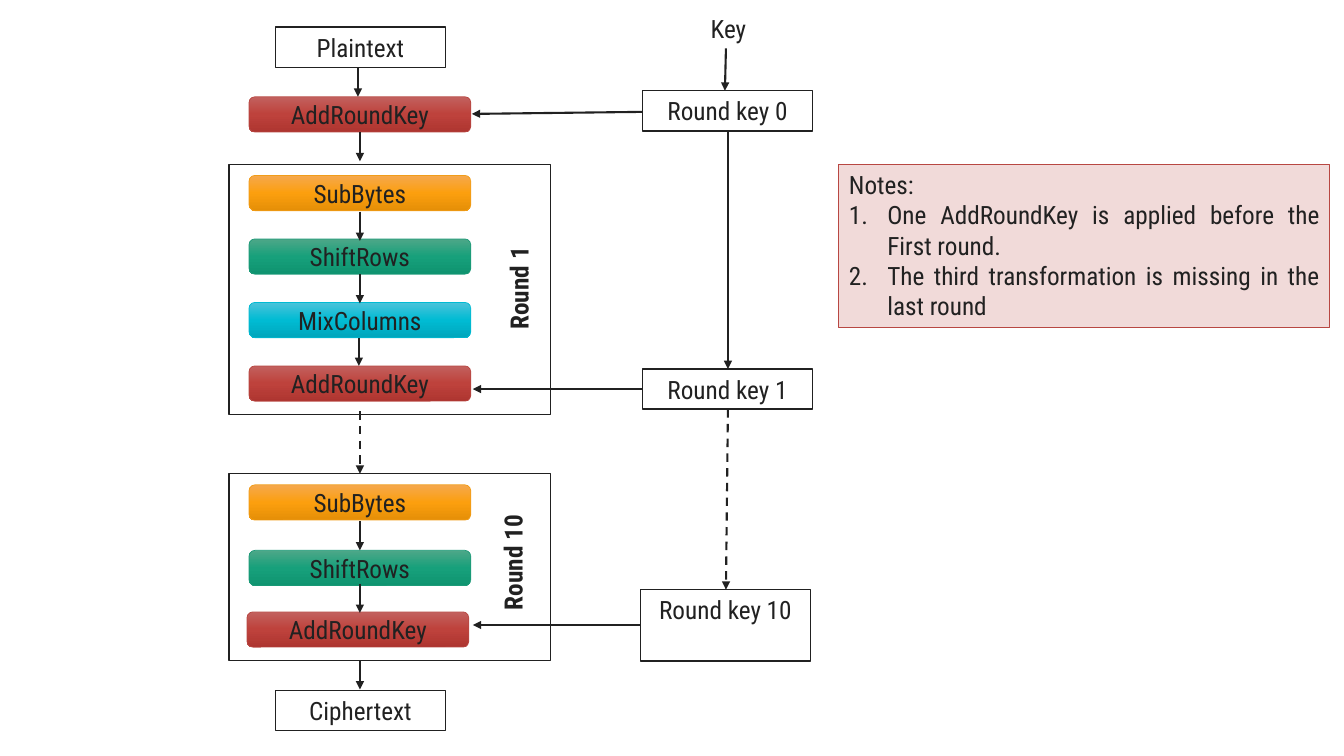
import copy
from dataclasses import dataclass

import pptx
import pptx.dml.color
import pptx.enum.dml
import pptx.enum.shapes
import pptx.enum.text
import pptx.oxml
import pptx.oxml.ns
import pptx.util

Inches = pptx.util.Inches
Pt = pptx.util.Pt
RGBColor = pptx.dml.color.RGBColor
ShapeType = pptx.enum.shapes.MSO_SHAPE
Align = pptx.enum.text.PP_ALIGN
Anchor = pptx.enum.text.MSO_ANCHOR
qn = pptx.oxml.ns.qn

FONT = "Roboto Condensed"
INK = RGBColor(0x21, 0x21, 0x21)
WHITE = RGBColor(0xFF, 0xFF, 0xFF)
PINK = RGBColor(0xF1, 0xDA, 0xD9)
RED = RGBColor(0xB8, 0x47, 0x42)
RED_SHADES = (RGBColor(0xC2, 0x61, 0x5E), RGBColor(0xBE, 0x42, 0x3C), RGBColor(0xAE, 0x35, 0x30))
ORANGE = RGBColor(0xF1, 0x9D, 0x19)
ORANGE_SHADES = (RGBColor(0xF5, 0xA8, 0x4E), RGBColor(0xFC, 0x9F, 0x0E), RGBColor(0xE5, 0x8F, 0x07))
GREEN = RGBColor(0x1D, 0x9A, 0x78)
GREEN_SHADES = (RGBColor(0x4E, 0xA7, 0x88), RGBColor(0x17, 0xA0, 0x7B), RGBColor(0x0F, 0x94, 0x70))
CYAN = RGBColor(0x00, 0xBB, 0xD3)
CYAN_SHADES = (RGBColor(0x4B, 0xC3, 0xDA), CYAN, RGBColor(0x00, 0xA6, 0xBC))


@dataclass(frozen=True)
class Operation:
    label: str
    shades: tuple[RGBColor, RGBColor, RGBColor]
    outline: RGBColor


@dataclass(frozen=True)
class Step:
    operation: Operation
    top: float
    left: float = 2.47


@dataclass(frozen=True)
class Box:
    left: float
    top: float
    width: float = 1.69
    height: float = 0.4
    label: str = ""


@dataclass(frozen=True)
class Label:
    text: str
    left: float
    top: float
    width: float
    rotation: int = 0


@dataclass(frozen=True)
class Arrow:
    x1: float
    y1: float
    x2: float
    y2: float
    dashed: bool = False


ADD_ROUND_KEY = Operation("AddRoundKey", RED_SHADES, RED)
SUB_BYTES = Operation("SubBytes", ORANGE_SHADES, ORANGE)
SHIFT_ROWS = Operation("ShiftRows", GREEN_SHADES, GREEN)
MIX_COLUMNS = Operation("MixColumns", CYAN_SHADES, CYAN)

ROUND_FRAMES = [Box(2.27, 1.63, 3.19, 2.48), Box(2.27, 4.7, 3.19, 1.85)]
FIRST_ROUND = [
    Step(operation, 1.74 + 0.63 * row)
    for row, operation in enumerate((SUB_BYTES, SHIFT_ROWS, MIX_COLUMNS, ADD_ROUND_KEY))
]
LAST_ROUND = [Step(SUB_BYTES, 4.81), Step(SHIFT_ROWS, 5.46), Step(ADD_ROUND_KEY, 6.07, 2.45)]
STEPS = [Step(ADD_ROUND_KEY, 0.96), *FIRST_ROUND, *LAST_ROUND]
DATA_BOXES = [
    Box(2.73, 0.27, label="Plaintext"),
    Box(2.73, 6.85, label="Ciphertext"),
    Box(6.37, 0.9, label="Round key 0"),
    Box(6.37, 3.66, label="Round key 1"),
    Box(6.35, 5.85, height=0.71, label="Round key 10"),
]
LABELS = [
    Label("Key", 6.92, 0.08, 0.61),
    Label("Round 1", 4.43, 2.66, 1.43, 270),
    Label("Round 10", 4.32, 5.38, 1.53, 270),
]
STEP_ARROWS = [Arrow(3.57, top, 3.57, top + 0.29) for top in (1.31, 2.1, 2.72, 5.17, 5.79, 6.55)]
ARROWS = STEP_ARROWS + [
    Arrow(3.55, 0.67, 3.55, 0.96),
    Arrow(3.56, 3.35, 3.56, 3.63),
    Arrow(3.57, 4.08, 3.57, 4.7, dashed=True),
    Arrow(7.2, 0.48, 7.19, 0.9),
    Arrow(7.22, 1.3, 7.22, 3.66),
    Arrow(7.22, 4.06, 7.2, 5.85, dashed=True),
    Arrow(6.37, 1.11, 4.68, 1.13),
    Arrow(6.37, 3.86, 4.69, 3.86),
    Arrow(6.35, 6.2, 4.69, 6.2),
]
NOTES = [
    "Notes:",
    "One AddRoundKey is applied before the First round.",
    "The third transformation is missing in the last round",
]


def style_text(paragraph, align: Align, bold: bool = False) -> None:
    paragraph.alignment = align
    for run in paragraph.runs:
        run.font.name = FONT
        run.font.size = Pt(18)
        run.font.bold = bold
        run.font.color.rgb = INK


def draw_box(slide, box: Box) -> None:
    shape = slide.shapes.add_shape(
        ShapeType.RECTANGLE, Inches(box.left), Inches(box.top), Inches(box.width), Inches(box.height)
    )
    shape.shadow.inherit = False
    shape.fill.solid()
    shape.fill.fore_color.rgb = WHITE
    shape.line.color.rgb = INK
    shape.line.width = Pt(1)
    if box.label:
        shape.text_frame.text = box.label
        shape.text_frame.vertical_anchor = Anchor.TOP
        style_text(shape.text_frame.paragraphs[0], Align.CENTER)


def draw_step(slide, step: Step) -> None:
    shape = slide.shapes.add_shape(
        ShapeType.ROUNDED_RECTANGLE, Inches(step.left), Inches(step.top), Inches(2.2), Inches(0.35)
    )
    shape.shadow.inherit = False
    shape.fill.gradient()
    shape.fill.gradient_angle = 270
    stop_list = shape._element.spPr.find(qn("a:gradFill")).find(qn("a:gsLst"))
    stop_list.insert(1, copy.deepcopy(stop_list[0]))
    for stop, position, shade in zip(shape.fill.gradient_stops, (0, 0.5, 1), step.operation.shades):
        stop.position = position
        stop.color.rgb = shade
    shape.line.color.rgb = step.operation.outline
    shape.line.width = Pt(0.5)
    shape.text_frame.text = step.operation.label
    shape.text_frame.vertical_anchor = Anchor.MIDDLE
    style_text(shape.text_frame.paragraphs[0], Align.CENTER)


def draw_label(slide, label: Label) -> None:
    textbox = slide.shapes.add_textbox(
        Inches(label.left), Inches(label.top), Inches(label.width), Inches(0.4)
    )
    textbox.rotation = label.rotation
    textbox.text_frame.word_wrap = bool(label.rotation)
    textbox.text_frame.text = label.text
    style_text(textbox.text_frame.paragraphs[0], Align.CENTER, bold=bool(label.rotation))


def draw_arrow(slide, arrow: Arrow) -> None:
    connector = slide.shapes.add_connector(
        pptx.enum.shapes.MSO_CONNECTOR.STRAIGHT,
        Inches(arrow.x1), Inches(arrow.y1), Inches(arrow.x2), Inches(arrow.y2),
    )
    connector.line.color.rgb = INK
    connector.line.width = Pt(1.5)
    if arrow.dashed:
        connector.line.dash_style = pptx.enum.dml.MSO_LINE.DASH
    properties = connector._element.spPr
    tail = properties.find(qn("a:ln")).makeelement(qn("a:tailEnd"), {"type": "triangle"})
    properties.find(qn("a:ln")).append(tail)
    properties.append(properties.makeelement(qn("a:effectLst"), {}))


def fill_notes(notes) -> None:
    notes.left, notes.top, notes.width, notes.height = map(Inches, (8.32, 1.63, 4.87, 1.62))
    notes.fill.solid()
    notes.fill.fore_color.rgb = PINK
    notes.line.color.rgb = RED
    notes.line.width = Pt(0.75)
    frame = notes.text_frame
    frame.text = "\n".join(NOTES)
    frame.auto_size = pptx.enum.text.MSO_AUTO_SIZE.NONE
    frame.vertical_anchor = Anchor.TOP
    for number, paragraph in enumerate(frame.paragraphs):
        indent = Inches(0.38) if number else 0
        properties = paragraph._p.get_or_add_pPr()
        properties.set("marL", str(indent))
        properties.set("indent", str(-indent))
        if number:
            bullet = properties.makeelement(qn("a:buAutoNum"), {"type": "arabicPeriod"})
        else:
            bullet = properties.makeelement(qn("a:buNone"), {})
        properties.append(bullet)
        paragraph.space_before = Pt(0)
        style_text(paragraph, Align.JUSTIFY)


def main() -> None:
    deck = pptx.Presentation()
    deck.slide_width, deck.slide_height = Inches(13.33), Inches(7.5)
    slide = deck.slides.add_slide(deck.slide_layouts[1])
    unused_title = slide.shapes.title._element
    unused_title.getparent().remove(unused_title)

    # Round frames lie behind the steps
    for box in ROUND_FRAMES:
        draw_box(slide, box)
    for step in STEPS:
        draw_step(slide, step)
    for box in DATA_BOXES:
        draw_box(slide, box)
    for label in LABELS:
        draw_label(slide, label)
    for arrow in ARROWS:
        draw_arrow(slide, arrow)

    # Notes beside the cipher diagram
    fill_notes(slide.placeholders[1])
    deck.save("out.pptx")


if __name__ == "__main__":
    main()
